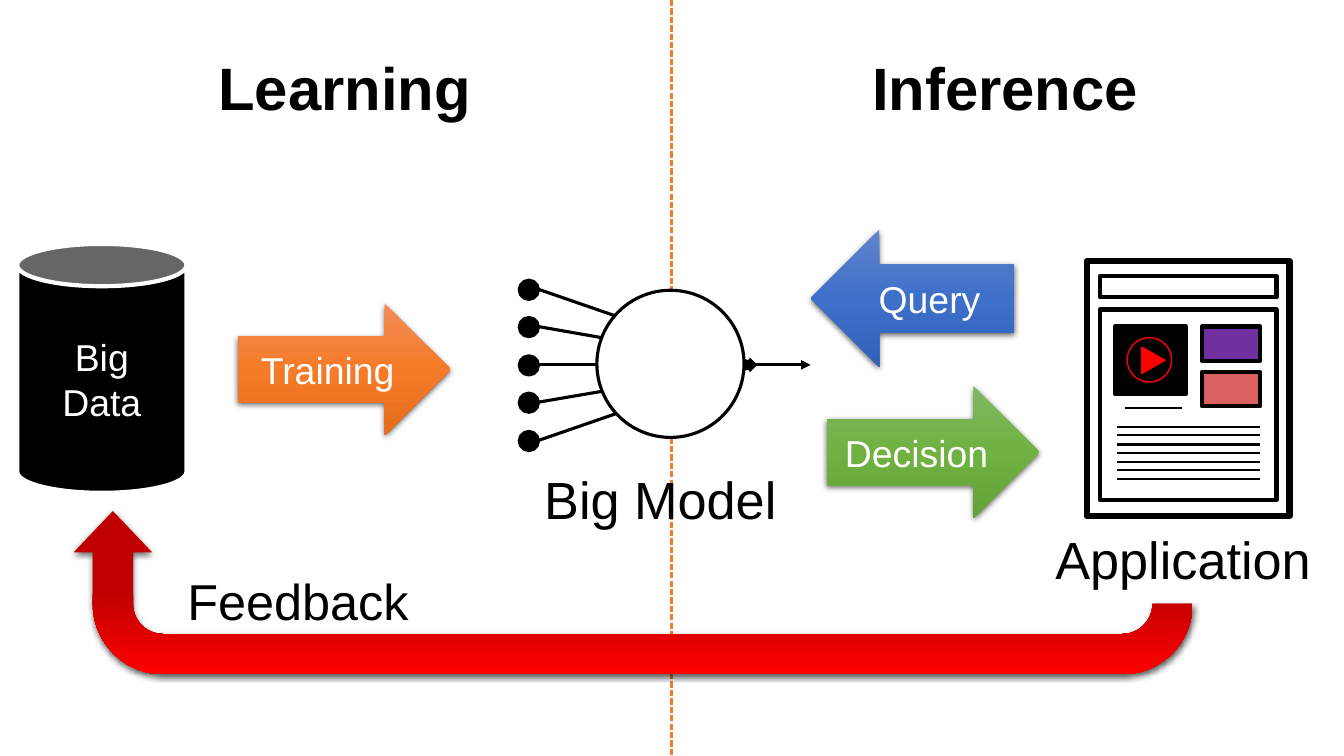
import copy
import math

import pptx
import pptx.dml.color
import pptx.enum.dml
import pptx.enum.shapes
import pptx.enum.text
import pptx.oxml
import pptx.oxml.ns
import pptx.util
from lxml import etree

PX = 9144  # EMU per px, 100 px to the inch
RGB = pptx.dml.color.RGBColor
BLACK, WHITE, RED = RGB(0, 0, 0), RGB(255, 255, 255), RGB(255, 0, 0)
DARK_RED = RGB(0xC0, 0x00, 0x00)
PURPLE, CORAL = RGB(0x70, 0x30, 0xA0), RGB(0xD9, 0x61, 0x5F)
DIVIDER = RGB(0xED, 0x7D, 0x31)
ORANGES = RGB(0xF1, 0x8C, 0x57), RGB(0xF6, 0x7B, 0x28), RGB(0xE5, 0x6C, 0x19)
GREENS = RGB(0x81, 0xB8, 0x61), RGB(0x6F, 0xB2, 0x42), RGB(0x62, 0xA3, 0x36)
BLUES = RGB(0x61, 0x83, 0xCB), RGB(0x3E, 0x70, 0xCA), RGB(0x30, 0x62, 0xBB)
REDS = DARK_RED, DARK_RED, RED
SHAPE = pptx.enum.shapes.MSO_SHAPE
ALIGN = pptx.enum.text.PP_ALIGN
qn = pptx.oxml.ns.qn


def add_shape(parent, kind, box, fill=None, line=None, width=0):
    s = parent.shapes.add_shape(kind, *[v * PX for v in box])
    s.shadow.inherit = False
    if fill is None:
        s.fill.background()
    else:
        s.fill.solid()
        s.fill.fore_color.rgb = fill
    if line is None:
        s.line.fill.background()
    else:
        s.line.color.rgb = line
        s.line.width = pptx.util.Pt(width)
    return s


def add_line(parent, x1, y1, x2, y2, color, width, arrow=False):
    c = parent.shapes.add_connector(pptx.enum.shapes.MSO_CONNECTOR.STRAIGHT,
                                    x1 * PX, y1 * PX, x2 * PX, y2 * PX)
    c.line.color.rgb = color
    c.line.width = pptx.util.Pt(width)
    if arrow:
        etree.SubElement(c.line._get_or_add_ln(), qn("a:tailEnd"), type="triangle")
    etree.SubElement(c._element.spPr, qn("a:effectLst"))
    return c


prs = pptx.Presentation()
prs.slide_width, prs.slide_height = 1333 * PX, 750 * PX
slide = prs.slides.add_slide(prs.slide_layouts[5])

# Divider between the two halves
divider = add_line(slide, 666, 0, 666, 750, DIVIDER, 1.5)
divider.line.dash_style = pptx.enum.dml.MSO_LINE.SQUARE_DOT

# Data store and block arrows
data = add_shape(slide, SHAPE.CAN, (17, 242, 168, 247), BLACK, WHITE, 3)
training = add_shape(slide, SHAPE.RIGHT_ARROW, (236, 301, 211, 131))
decision = add_shape(slide, SHAPE.RIGHT_ARROW, (820, 383, 211, 131))
query = add_shape(slide, SHAPE.LEFT_ARROW, (804, 228, 202, 136))
for s, text in ((data, "Big\nData"), (training, "Training"),
                (decision, "Decision"), (query, "Query")):
    tf = s.text_frame
    tf.text = text
    tf.vertical_anchor = pptx.enum.text.MSO_ANCHOR.MIDDLE
    for p in tf.paragraphs:
        p.alignment = ALIGN.CENTER
        p.font.name, p.font.size = "Arial", pptx.util.Pt(26.7)
        p.font.color.rgb = WHITE

# Application page: frame, address bar, body and text lines
app = slide.shapes.add_group_shape()
add_shape(app, SHAPE.RECTANGLE, (1078, 259, 201, 253), WHITE, BLACK, 4.5)
for top, height in ((274, 21), (307, 189)):
    add_shape(app, SHAPE.RECTANGLE, (1091, top, 175, height), WHITE, BLACK, 3)
for i in range(7):
    y = 424 + 17 * i // 2
    add_line(app, 1108, y, 1250, y, BLACK, 1.5)

# Video player and thumbnails on the page
media = slide.shapes.add_group_shape()
add_shape(media, SHAPE.RECTANGLE, (1106, 324, 70, 67), BLACK, BLACK, 3)
add_shape(media, SHAPE.OVAL, (1118, 335, 44, 44), None, RED, 1)
play = add_shape(media, SHAPE.ISOSCELES_TRIANGLE, (1131, 346, 26, 23), RED, RED, 1)
play.rotation = 90
for top, color in ((324, PURPLE), (369, CORAL)):
    add_shape(media, SHAPE.RECTANGLE, (1192, top, 58, 34), color, BLACK, 3)
add_line(media, 1116, 405, 1172, 405, BLACK, 1.5)

# Model: five inputs feeding one neuron with one output
model = slide.shapes.add_group_shape()
input_ys = [287 + 75 * i // 2 for i in range(5)]
add_line(model, 716, 362, 804, 362, BLACK, 2.25, arrow=True)
for y in input_ys:
    add_line(model, 534, y, 751, 362, BLACK, 2.25, arrow=True)
add_shape(model, SHAPE.OVAL, (592, 288, 146, 146), WHITE, BLACK, 2.25)
for y in input_ys:
    add_shape(model, SHAPE.OVAL, (515, y - 9, 19, 19), BLACK, BLACK, 2.25)

# Feedback arrow: a U-shaped band with quarter-circle corners
OUTER, INNER, LEFT_X, RIGHT_X, BEND_Y = 70, 30, 162, 1113, 599
outline = []
for cx, radius, start, end in ((RIGHT_X, OUTER, 0, 90), (LEFT_X, OUTER, 90, 180),
                               (LEFT_X, INNER, 180, 90), (RIGHT_X, INNER, 90, 0)):
    for step in range(19):
        a = math.radians(start + (end - start) * step / 18)
        outline.append((cx + radius * math.cos(a), BEND_Y + radius * math.sin(a)))
    if (cx, radius) == (LEFT_X, OUTER):
        outline += [(92, 548), (73, 548), (112, 507), (151, 548), (132, 548)]
points = [(round(x * PX), round(y * PX)) for x, y in outline]
builder = slide.shapes.build_freeform(*points[0], scale=1.0)
builder.add_line_segments(points[1:], close=True)
feedback = builder.convert_to_shape()
feedback.shadow.inherit = False
feedback.line.fill.background()

# Vertical gradients and soft shadows of all block arrows
for s, colors in ((training, ORANGES), (decision, GREENS), (query, BLUES), (feedback, REDS)):
    s.fill.gradient()
    s.fill.gradient_angle = 270
    sp_pr = s._element.spPr
    stops = sp_pr.find(".//" + qn("a:gsLst"))
    stops.append(copy.deepcopy(stops[0]))
    for stop, position, color in zip(s.fill.gradient_stops, (0, 0.5, 1), colors):
        stop.position = position
        stop.color.rgb = color
    shadow = etree.SubElement(sp_pr.find(qn("a:effectLst")), qn("a:outerShdw"),
                              blurRad="57150", dist="19050", dir="5400000",
                              algn="ctr", rotWithShape="0")
    black = etree.SubElement(shadow, qn("a:srgbClr"), val="000000")
    etree.SubElement(black, qn("a:alpha"), val="63000")

# Headings and captions
title = slide.shapes.title
title.left, title.top, title.width, title.height = [v * PX for v in (206, 45, 272, 82)]
captions = [(title, "Learning", 42.7, True, ALIGN.CENTER)]
for text, box, size, bold, align in (
        ("Inference", (853, 45, 288, 82), 42.7, True, ALIGN.CENTER),
        ("Big Model", (526, 459, 258, 73), 37.3, False, ALIGN.CENTER),
        ("Application", (1032, 518, 283, 73), 37.3, False, ALIGN.CENTER),
        ("Feedback", (176, 561, 244, 71), 36, False, ALIGN.LEFT)):
    s = slide.shapes.add_textbox(*[v * PX for v in box])
    captions.append((s, text, size, bold, align))
for s, text, size, bold, align in captions:
    tf = s.text_frame
    tf.text = text
    tf.word_wrap = False
    tf.auto_size = pptx.enum.text.MSO_AUTO_SIZE.NONE
    tf.vertical_anchor = pptx.enum.text.MSO_ANCHOR.TOP
    p = tf.paragraphs[0]
    p.alignment = align
    p.font.name, p.font.size, p.font.bold = "Arial", pptx.util.Pt(size), bold
    p.font.color.rgb = BLACK

prs.save("out.pptx")
